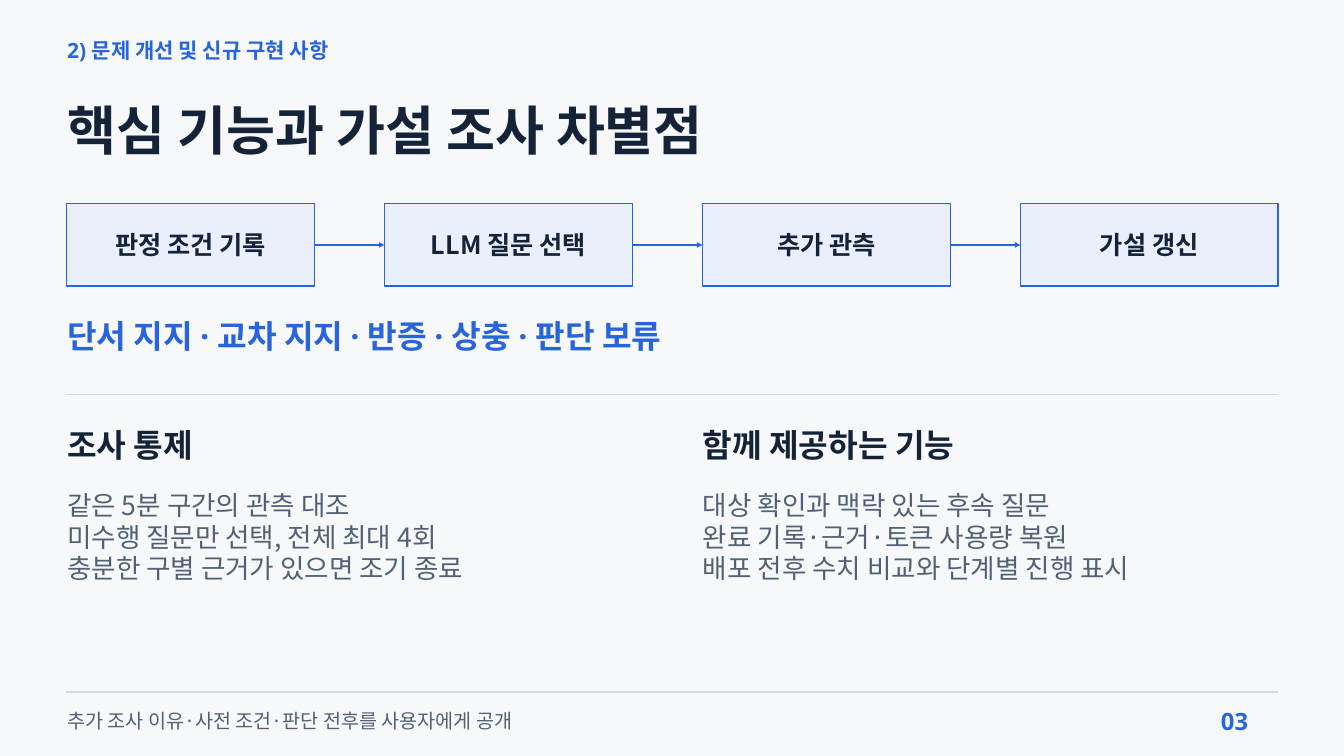
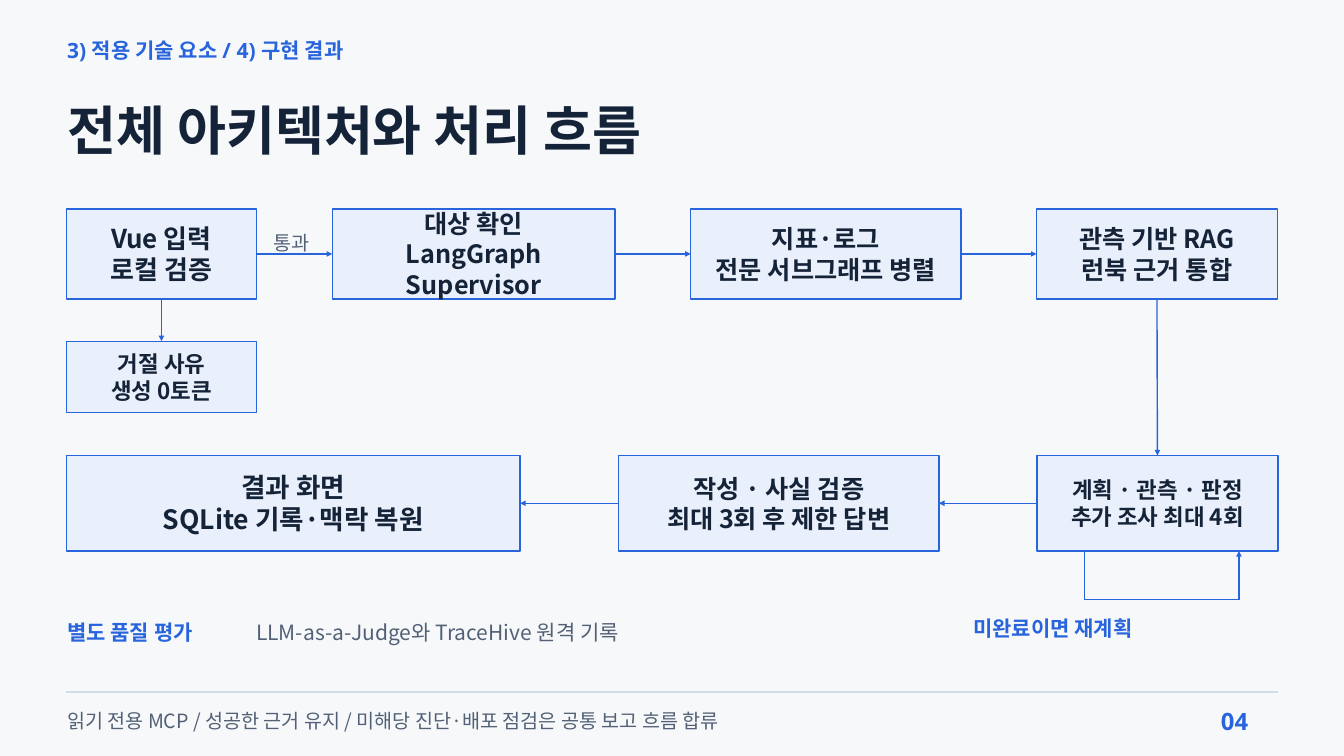
import itertools

import lxml.etree
import pptx
import pptx.dml.color
import pptx.enum.shapes
import pptx.enum.text
import pptx.oxml.ns
import pptx.util

Cm = pptx.util.Cm
ALIGN = pptx.enum.text.PP_ALIGN
ANCHOR = pptx.enum.text.MSO_ANCHOR

COLORS = {
    "back": "F7F8FA",
    "accent": "2864DC",
    "ink": "142338",
    "muted": "526176",
    "rule": "D2DBE6",
    "node": "E9EFFB",
}
HEAD_FONT = "Noto Sans"
BODY_FONT = "Noto Sans CJK KR"
STYLES = {
    "title": ("ink", {"size": 57, "name": HEAD_FONT, "bold": True}),
    "section": ("accent", {"size": 22.5, "name": HEAD_FONT, "bold": True}),
    "verdicts": ("accent", {"size": 34.5, "name": HEAD_FONT, "bold": True}),
    "heading": ("ink", {"size": 34.5, "name": HEAD_FONT, "bold": True}),
    "number": ("accent", {"size": 25.5, "name": HEAD_FONT, "bold": True}),
    "body": ("muted", {"size": 28.5, "name": BODY_FONT, "bold": False}),
    "note": ("muted", {"size": 22.5, "name": BODY_FONT, "bold": False}),
    "small": ("muted", {"size": 21, "name": BODY_FONT, "bold": False}),
    "node": ("ink", {"size": 27, "name": BODY_FONT, "bold": True}),
}
EDGE_LEFT, EDGE_RIGHT = 2.51, 48.29
TEXT_LEFT = 2.54
RIGHT_COLUMN = 26.57
TOP, LEFT, BOTTOM, RIGHT = range(4)


def rgb(name):
    return pptx.dml.color.RGBColor.from_string(COLORS[name])


def add_element(parent, tag, **attributes):
    return lxml.etree.SubElement(parent, pptx.oxml.ns.qn(tag), attributes)


def write_text(shape, lines, style, size=None, align=ALIGN.LEFT, anchor=ANCHOR.TOP, inset=0):
    color, font_format = STYLES[style]
    font_format = dict(font_format)
    size = size or font_format["size"]
    font_format["size"] = pptx.util.Pt(size)
    frame = shape.text_frame
    frame_format = {"word_wrap": True, "auto_size": pptx.enum.text.MSO_AUTO_SIZE.NONE,
                    "vertical_anchor": anchor}
    for side in ("left", "top", "right", "bottom"):
        frame_format[f"margin_{side}"] = Cm(inset)
    for key, value in frame_format.items():
        setattr(frame, key, value)
    for index, line in enumerate(lines):
        para = frame.add_paragraph() if index else frame.paragraphs[0]
        if shape.is_placeholder:
            properties = para._p.get_or_add_pPr()
            properties.set("marL", "0")
            properties.set("indent", "0")
            add_element(properties, "a:buNone")
        para_format = {"alignment": align, "line_spacing": pptx.util.Pt(size * 1.2),
                       "space_before": pptx.util.Pt(0), "space_after": pptx.util.Pt(0)}
        for key, value in para_format.items():
            setattr(para, key, value)
        span = para.add_run()
        span.text = line
        for key, value in font_format.items():
            setattr(span.font, key, value)
        span.font.color.rgb = rgb(color)
        add_element(span._r.get_or_add_rPr(), "a:ea", typeface=BODY_FONT)


def fill_placeholder(placeholder, place, lines, style):
    for key, value in zip(("left", "top", "width", "height"), place):
        setattr(placeholder, key, Cm(value))
    write_text(placeholder, lines, style)


def add_text(page, place, text, style):
    box = page.shapes.add_textbox(*map(Cm, place))
    write_text(box, [text], style)


def add_node(page, place, lines, size=27):
    node = page.shapes.add_shape(pptx.enum.shapes.MSO_SHAPE.RECTANGLE, *map(Cm, place))
    node.shadow.inherit = False
    node.fill.solid()
    node.fill.fore_color.rgb = rgb("node")
    node.line.color.rgb = rgb("accent")
    node.line.width = pptx.util.Pt(1.5)
    write_text(node, lines, "node", size, ALIGN.CENTER, ANCHOR.MIDDLE, 0.15)
    return node


def add_node_row(page, top, height, gap, nodes):
    row, left = [], EDGE_LEFT
    for width, lines, size in nodes:
        row.append(add_node(page, (left, top, width, height), lines, size))
        left += width + gap
    return row


def add_line(page, start, end, color="accent", arrow=False):
    line = page.shapes.add_connector(
        pptx.enum.shapes.MSO_CONNECTOR.STRAIGHT, *map(Cm, (*start, *end)))
    line.line.color.rgb = rgb(color)
    line.line.width = pptx.util.Pt(1.5)
    if arrow:
        add_element(line.line._get_or_add_ln(), "a:tailEnd", type="triangle")
    add_element(line._element.spPr, "a:effectLst")
    return line


def add_arrow(page, source, source_side, target, target_side):
    arrow = add_line(page, (0, 0), (0, 0), arrow=True)
    arrow.begin_connect(source, source_side)
    arrow.end_connect(target, target_side)


def add_rule(page, top):
    add_line(page, (EDGE_LEFT, top), (EDGE_RIGHT, top), "rule")


def add_page(deck, layout, section, title, footer, number):
    page = deck.slides.add_slide(deck.slide_layouts.get_by_name(layout))
    fill_placeholder(page.shapes.title, (TEXT_LEFT, 3.66, 45.72, 2.9), [title], "title")
    add_text(page, (TEXT_LEFT, 1.42, 44.98, 1.27), section, "section")
    add_rule(page, 26.16)
    add_text(page, (TEXT_LEFT, 26.8, 42.06, 1.12), footer, "small")
    add_text(page, (46.15, 26.7, 2.11, 1.17), number, "number")
    return page


def build_features(deck):
    page = add_page(deck, "Two Content", "2) 문제 개선 및 신규 구현 사항", "핵심 기능과 가설 조사 차별점",
                    "추가 조사 이유·사전 조건·판단 전후를 사용자에게 공개", "03")
    steps = add_node_row(page, 7.7, 3.12, 2.65, [
        (9.37, ["판정 조건 기록"], 27),
        (9.37, ["LLM 질문 선택"], 27),
        (9.37, ["추가 관측"], 27),
        (9.73, ["가설 갱신"], 27),
    ])
    for source, target in itertools.pairwise(steps):
        add_arrow(page, source, RIGHT, target, LEFT)
    add_text(page, (TEXT_LEFT, 11.96, 45.72, 1.8),
             "단서 지지 · 교차 지지 · 반증 · 상충 · 판단 보류", "verdicts")
    add_rule(page, 14.92)
    columns = [
        (TEXT_LEFT, "조사 통제",
         ["같은 5분 구간의 관측 대조", "미수행 질문만 선택, 전체 최대 4회", "충분한 구별 근거가 있으면 조기 종료"]),
        (RIGHT_COLUMN, "함께 제공하는 기능",
         ["대상 확인과 맥락 있는 후속 질문", "완료 기록·근거·토큰 사용량 복원", "배포 전후 수치 비교와 단계별 진행 표시"]),
    ]
    for index, (left, heading, lines) in enumerate(columns, 1):
        add_text(page, (left, 16.08, 21.69, 1.73), heading, "heading")
        fill_placeholder(page.placeholders[index], (left, 18.47, 21.69, 5.38), lines, "body")


def build_architecture(deck):
    page = add_page(deck, "Title Only", "3) 적용 기술 요소 / 4) 구현 결과", "전체 아키텍처와 처리 흐름",
                    "읽기 전용 MCP / 성공한 근거 유지 / 미해당 진단·배포 점검은 공통 보고 흐름 합류", "04")
    intake = add_node_row(page, 7.9, 3.4, 2.86, [
        (7.19, ["Vue 입력", "로컬 검증"], 27.8),
        (10.69, ["대상 확인", "LangGraph Supervisor"], 27),
        (10.21, ["지표·로그", "전문 서브그래프 병렬"], 27),
        (9.1, ["관측 기반 RAG", "런북 근거 통합"], 27),
    ])
    rejection = add_node(page, (EDGE_LEFT, 12.9, 7.19, 2.7), ["거절 사유", "생성 0토큰"], 24)
    outcome = add_node_row(page, 17.22, 3.61, 3.71, [
        (17.15, ["결과 화면", "SQLite 기록·맥락 복원"], 28.5),
        (12.12, ["작성 · 사실 검증", "최대 3회 후 제한 답변"], 27),
        (9.1, ["계획 · 관측 · 판정", "추가 조사 최대 4회"], 24),
    ])
    for source, target in itertools.pairwise(intake):
        add_arrow(page, source, RIGHT, target, LEFT)
    for target, source in itertools.pairwise(outcome):
        add_arrow(page, source, LEFT, target, RIGHT)
    add_arrow(page, intake[0], BOTTOM, rejection, TOP)
    add_arrow(page, intake[-1], BOTTOM, outcome[-1], TOP)

    loop = [(41, 20.83), (41, 22.67), (46.83, 22.67), (46.83, 20.83)]
    for start, end in itertools.pairwise(loop):
        add_line(page, start, end, arrow=end == loop[-1])

    add_text(page, (10.34, 8.74, 2.11, 1.47), "통과", "small")
    add_text(page, (36.78, 23.27, 11.38, 1.37), "미완료이면 재계획", "section")
    add_text(page, (TEXT_LEFT, 23.42, 6.76, 1.37), "별도 품질 평가", "section")
    add_text(page, (9.68, 23.42, 24.08, 1.37), "LLM-as-a-Judge와 TraceHive 원격 기록", "note")


def main():
    deck = pptx.Presentation()
    deck.slide_width, deck.slide_height = Cm(50.8), Cm(28.58)
    background = deck.slide_master.background.fill
    background.solid()
    background.fore_color.rgb = rgb("back")
    build_features(deck)
    build_architecture(deck)
    deck.save("out.pptx")


if __name__ == "__main__":
    main()
